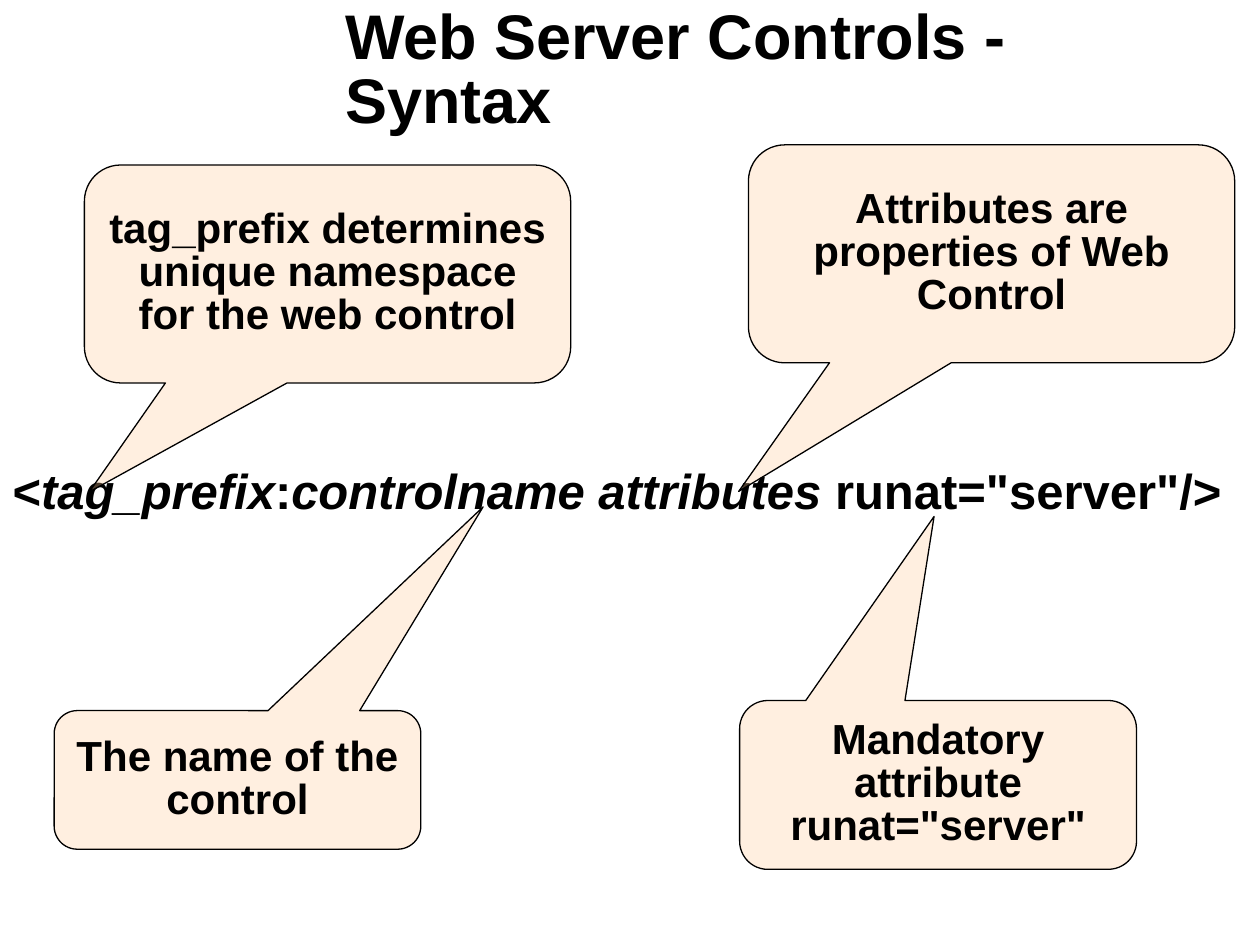
"""Build the Web Server Controls syntax slide with four callouts around a tag."""
import pptx
import pptx.util
import pptx.dml.color
import pptx.enum.shapes
import pptx.enum.text
import lxml.etree

Inches, Pt = pptx.util.Inches, pptx.util.Pt
PP_ALIGN, ANCHOR = pptx.enum.text.PP_ALIGN, pptx.enum.text.MSO_ANCHOR
CALLOUT = pptx.enum.shapes.MSO_SHAPE.ROUNDED_RECTANGULAR_CALLOUT


def color(hex_value):
    return pptx.dml.color.RGBColor.from_string(hex_value)


def write(sp, runs, size, align, spacing, anchor):
    tf = sp.text_frame
    frame = {"word_wrap": True, "vertical_anchor": anchor,
             "auto_size": pptx.enum.text.MSO_AUTO_SIZE.NONE}
    for name, value in frame.items():
        setattr(tf, name, value)
    p = tf.paragraphs[0]
    paragraph = {"alignment": align, "line_spacing": spacing, "space_before": Pt(0)}
    for name, value in paragraph.items():
        setattr(p, name, value)
    for text, italic in runs:
        r = p.add_run()
        r.text = text
        font = {"name": "Arial", "size": Pt(size), "bold": True, "italic": italic}
        for name, value in font.items():
            setattr(r.font, name, value)
        r.font.color.rgb = color("000000")
    return p


prs = pptx.Presentation()
prs.slide_width, prs.slide_height = Inches(10), Inches(7.5)
s = prs.slides.add_slide(prs.slide_layouts[1])
title, body = s.placeholders

boxes = [(title, (2.64, 0.08, 7.17, 0.99)), (body, (0, 3.59, 10, 0.71))]
for sp, box in boxes:
    for name, value in zip(("left", "top", "width", "height"), box):
        setattr(sp, name, Inches(value))

write(title, [("Web Server Controls - Syntax", False)], 36, PP_ALIGN.LEFT, 0.85, ANCHOR.MIDDLE)

syntax = [("<", False), ("tag_prefix", True), (":", False),
          ("controlname attributes ", True), ('runat="server"/>', False)]
p = write(body, syntax, 28, PP_ALIGN.LEFT, 0.95, ANCHOR.TOP)
body.text_frame.margin_top = Inches(0.1)
pPr = p._p.get_or_add_pPr()
pPr.set("marL", str(Inches(0.38)))
pPr.set("indent", str(-Inches(0.38)))
lxml.etree.SubElement(pPr, pptx.oxml.ns.qn("a:buNone"))

callouts = [
    ("tag_prefix determines unique namespace for the web control",
     (0.67, 1.31, 3.86, 1.73), (-0.49, 1.0)),
    ("The name of the control", (0.43, 5.64, 2.91, 1.1), (0.67, -1.97)),
    ("Attributes are properties of Web Control",
     (5.94, 1.15, 3.86, 1.73), (-0.52, 1.09)),
    ('Mandatory attribute runat="server"', (5.87, 5.56, 3.15, 1.34), (-0.01, -1.59)),
]
for text, box, tip in callouts:
    sp = s.shapes.add_shape(CALLOUT, *map(Inches, box))
    sp.adjustments[0], sp.adjustments[1] = tip
    sp.shadow.inherit = False
    sp.fill.solid()
    sp.fill.fore_color.rgb = color("FFCC99")
    rgb = sp.fill._xPr.find(".//" + pptx.oxml.ns.qn("a:srgbClr"))
    lxml.etree.SubElement(rgb, pptx.oxml.ns.qn("a:alpha"), val="30000")
    sp.line.color.rgb = color("000000")
    sp.line.width = Pt(0.75)
    write(sp, [(text, False)], 24, PP_ALIGN.CENTER, 0.85, ANCHOR.MIDDLE)

prs.save("out.pptx")
